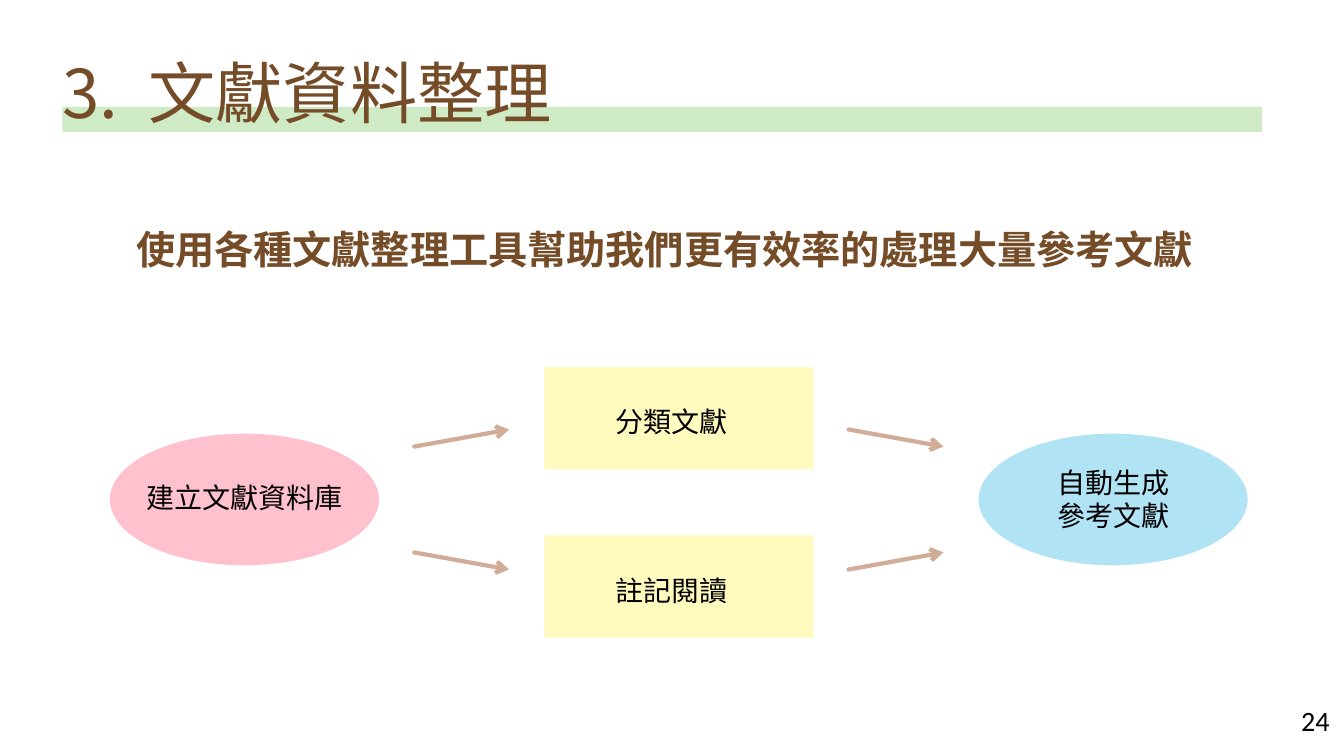
import dataclasses

import pptx
import pptx.dml.color
import pptx.enum.shapes
import pptx.enum.text
import pptx.oxml
import pptx.oxml.ns
import pptx.util
from pptx.util import Pt

ALIGN = pptx.enum.text.PP_ALIGN
ANCHOR = pptx.enum.text.MSO_ANCHOR
SHAPE = pptx.enum.shapes.MSO_SHAPE


@dataclasses.dataclass(frozen=True)
class Theme:
    brown: str = "754C28"
    black: str = "000000"
    green: str = "CFEBC6"
    pink: str = "FFC1CD"
    yellow: str = "FFFABE"
    blue: str = "B0E3F4"
    arrow: str = "D1AC97"
    cjk: str = "Noto Sans CJK SC"
    latin: str = "Calibri"
    title: int = 48
    statement: int = 28
    label: int = 20


THEME = Theme()


def rgb(value):
    return pptx.dml.color.RGBColor.from_string(value)


def drawing_element(tag, attributes="", children=""):
    namespace = pptx.oxml.ns.nsdecls("a")
    return pptx.oxml.parse_xml(f"<a:{tag} {namespace} {attributes}>{children}</a:{tag}>")


def add_block(slide, kind, left, top, width, height, fill):
    block = slide.shapes.add_shape(kind, Pt(left), Pt(top), Pt(width), Pt(height))
    block.shadow.inherit = False
    block.fill.solid()
    block.fill.fore_color.rgb = rgb(fill)
    block.line.fill.background()


def add_text(slide, text, left, top, width, height, size, color=THEME.black,
             font=THEME.cjk, bold=False, align=ALIGN.LEFT, anchor=ANCHOR.TOP,
             inset=0, spacing=None, tab=None):
    """Add a text box; spacing is an exact line height and tab a tab stop."""
    box = slide.shapes.add_textbox(Pt(left), Pt(top), Pt(width), Pt(height))
    frame = box.text_frame
    frame.word_wrap = True
    frame.vertical_anchor = anchor
    frame.margin_left = frame.margin_right = Pt(inset)
    frame.margin_top = frame.margin_bottom = Pt(inset)
    frame.text = text
    for paragraph in frame.paragraphs:
        paragraph.alignment = align
        if spacing:
            paragraph.line_spacing = Pt(spacing)
        if tab:
            stop = f'<a:tab pos="{Pt(tab)}" algn="l"/>'
            paragraph._p.get_or_add_pPr().append(drawing_element("tabLst", children=stop))
        for run in paragraph.runs:
            run.font.size = Pt(size)
            run.font.bold = bold
            run.font.name = font
            run.font.color.rgb = rgb(color)
            run._r.get_or_add_rPr().append(drawing_element("ea", f'typeface="{font}"'))


def add_label(slide, text, left, top, width, height, spacing=None):
    add_text(slide, text, left, top, width, height, THEME.label, align=ALIGN.CENTER,
             anchor=ANCHOR.MIDDLE, inset=10, spacing=spacing)


def add_arrow(slide, x1, y1, x2, y2):
    arrow = slide.shapes.add_connector(
        pptx.enum.shapes.MSO_CONNECTOR.STRAIGHT, Pt(x1), Pt(y1), Pt(x2), Pt(y2))
    arrow.line.color.rgb = rgb(THEME.arrow)
    arrow.line.width = Pt(3)
    outline = arrow.line._get_or_add_ln()
    outline.set("cap", "rnd")
    outline.append(drawing_element("round"))
    outline.append(drawing_element("tailEnd", 'type="arrow"'))
    arrow._element.spPr.append(drawing_element("effectLst"))


def add_workflow(slide):
    middle = 356.8
    block_width, oval_height, step_height = 192.2, 94, 73.2
    for left, fill in ((78.5, THEME.pink), (699, THEME.blue)):
        add_block(slide, SHAPE.OVAL, left, middle - oval_height / 2,
                  block_width, oval_height, fill)
    add_label(slide, "建立文獻資料庫", 91.4, 334.8, 166.3, 51.8, spacing=12.8)
    add_label(slide, "自動生成\n參考文獻", 717.1, 316.8, 156.2, 79.2)

    for step, top in (("分類文獻", 262), ("註記閱讀", 382.4)):
        add_block(slide, SHAPE.RECTANGLE, 388.8, top, block_width, step_height, THEME.yellow)
        add_label(slide, step, 424.8, top + 19.8, 109.4, 49.7, spacing=12.8)

    oval_offset, step_offset, arrow_width = 37.8, 50, 67.7
    for side in (-1, 1):
        near_oval = middle + side * oval_offset
        near_step = middle + side * step_offset
        add_arrow(slide, 295.9, near_oval, 295.9 + arrow_width, near_step)
        add_arrow(slide, 606.2, near_step, 606.2 + arrow_width, near_oval)


def main():
    deck = pptx.Presentation()
    deck.slide_width, deck.slide_height = Pt(960), Pt(540)
    slide = deck.slides.add_slide(deck.slide_layouts[6])

    add_block(slide, SHAPE.RECTANGLE, 44.6, 76.3, 856.8, 18, THEME.green)
    add_text(slide, "3.\t文獻資料整理", 44.6, 37.4, 375.1, 57.6, THEME.title,
             THEME.brown, spacing=57, tab=61.5)
    add_text(slide, "使用各種文獻整理工具幫助我們更有效率的處理大量參考文獻",
             97.2, 175, 765.4, 21.6, THEME.statement, THEME.brown, bold=True, spacing=19.9)
    add_workflow(slide)
    add_text(slide, "24", 733.7, 500.4, 216, 28.8, THEME.label, font=THEME.latin,
             align=ALIGN.RIGHT, anchor=ANCHOR.MIDDLE)
    deck.save("out.pptx")


if __name__ == "__main__":
    main()
